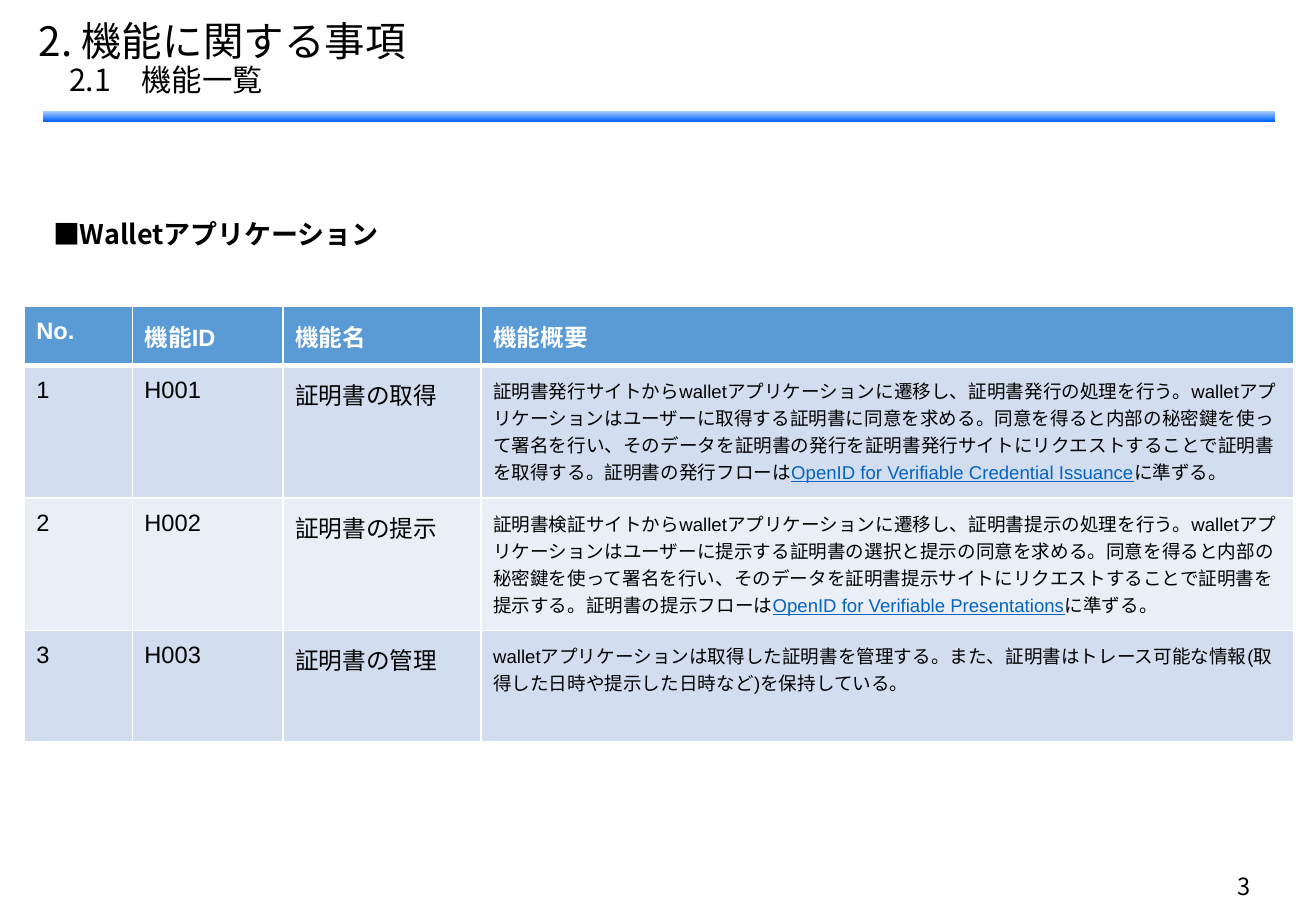
from lxml import etree
from pptx import Presentation
from pptx.dml.color import RGBColor
from pptx.enum.shapes import MSO_SHAPE
from pptx.enum.text import MSO_ANCHOR, PP_ALIGN
from pptx.oxml.ns import qn
from pptx.util import Cm, Pt

# Content
TITLE = "2. 機能に関する事項"
SUBTITLE = "\u30002.1\u3000機能一覧".replace("\u3000", "　")
SECTION = "■Walletアプリケーション"
PAGE_NUMBER = "3"
HEADER = ["No.", "機能ID", "機能名", "機能概要"]
# Each summary is a list of (text, is_link)
FUNCTIONS = [
    ("1", "H001", "証明書の取得", [
        ("証明書発行サイトからwalletアプリケーションに遷移し、証明書発行の処理を行う。"
         "walletアプリケーションはユーザーに取得する証明書に同意を求める。"
         "同意を得ると内部の秘密鍵を使って署名を行い、そのデータを証明書の発行を"
         "証明書発行サイトにリクエストすることで証明書を取得する。証明書の発行フローは", False),
        ("OpenID for Verifiable Credential Issuance", True),
        ("に準ずる。", False)]),
    ("2", "H002", "証明書の提示", [
        ("証明書検証サイトからwalletアプリケーションに遷移し、証明書提示の処理を行う。"
         "walletアプリケーションはユーザーに提示する証明書の選択と提示の同意を求める。"
         "同意を得ると内部の秘密鍵を使って署名を行い、そのデータを"
         "証明書提示サイトにリクエストすることで証明書を提示する。証明書の提示フローは", False),
        ("OpenID for Verifiable Presentations", True),
        ("に準ずる。", False)]),
    ("3", "H003", "証明書の管理", [
        ("walletアプリケーションは取得した証明書を管理する。また、証明書はトレース可能な情報"
         "(取得した日時や提示した日時など)を保持している。", False)]),
]

# Style
JAPANESE, LATIN = "Noto Sans CJK JP", "Arial"
BLACK = RGBColor(0x00, 0x00, 0x00)
WHITE = RGBColor(0xFF, 0xFF, 0xFF)
LINK_BLUE = RGBColor(0x05, 0x63, 0xC1)
HEADER_BLUE = RGBColor(0x5B, 0x9B, 0xD5)
BANDS = [RGBColor(0xD2, 0xDE, 0xEF), RGBColor(0xEA, 0xEF, 0xF7)]
BAR_COLORS = [RGBColor(0xA9, 0xCB, 0xFF), RGBColor(0x00, 0x66, 0xFF)]
RECTANGLE = MSO_SHAPE.RECTANGLE
TOP, MIDDLE, BOTTOM = MSO_ANCHOR.TOP, MSO_ANCHOR.MIDDLE, MSO_ANCHOR.BOTTOM
LEFT, RIGHT = PP_ALIGN.LEFT, PP_ALIGN.RIGHT

# Table measures in cm
COLUMN_WIDTHS = [2.26, 3.15, 4.14, 16.99]
ROW_HEIGHTS = [1.23, 2.77, 2.77, 2.33]
CELL_MARGIN = Cm(0.25)
THIN, THICK = Pt(1), Pt(3)


def set_font(paragraph, size, color, latin=JAPANESE, bold=False):
    font = paragraph.font
    font.size, font.name, font.bold = Pt(size), latin, bold
    font.color.rgb = color
    # Japanese characters use their own typeface slot
    latin_slot = font._element.find(qn("a:latin"))
    east_asian = etree.Element(qn("a:ea"), typeface=JAPANESE)
    latin_slot.addnext(east_asian)


def add_text(slide, box, lines, anchor=TOP, align=LEFT, spacing=0.9, bold=False):
    frame = slide.shapes.add_textbox(*map(Cm, box)).text_frame
    frame.word_wrap = True
    frame.vertical_anchor = anchor
    for index, (text, size) in enumerate(lines):
        paragraph = frame.add_paragraph() if index else frame.paragraphs[0]
        paragraph.text = text
        paragraph.alignment = align
        paragraph.line_spacing = spacing
        set_font(paragraph, size, BLACK, bold=bold)


def set_borders(cell, top, bottom):
    properties = cell._tc.get_or_add_tcPr()
    sides = [("lnL", THIN), ("lnR", THIN), ("lnT", top), ("lnB", bottom)]
    for index, (side, width) in enumerate(sides):
        line = etree.Element(qn(f"a:{side}"), w=str(width))
        fill = etree.SubElement(line, qn("a:solidFill"))
        etree.SubElement(fill, qn("a:srgbClr"), val=str(WHITE))
        properties.insert(index, line)


def fill_cell(cell, pieces, row, size):
    is_header = row == 0
    cell.margin_left = cell.margin_right = CELL_MARGIN
    cell.margin_top = cell.margin_bottom = CELL_MARGIN
    cell.fill.solid()
    cell.fill.fore_color.rgb = HEADER_BLUE if is_header else BANDS[(row - 1) % 2]
    set_borders(cell, THICK if row == 1 else THIN, THICK if is_header else THIN)
    paragraph = cell.text_frame.paragraphs[0]
    for text, is_link in pieces:
        run = paragraph.add_run()
        run.text = text
        if is_link:
            run.font.color.rgb = LINK_BLUE
            run.font.underline = True
    set_font(paragraph, size, WHITE if is_header else BLACK, LATIN, is_header)


def add_function_table(slide):
    rows = [[[(label, False)] for label in HEADER]]
    for *labels, summary in FUNCTIONS:
        rows.append([[(label, False)] for label in labels] + [summary])
    table = slide.shapes.add_table(
        len(rows), len(HEADER), Cm(0.51), Cm(6.41),
        Cm(sum(COLUMN_WIDTHS)), Cm(sum(ROW_HEIGHTS))).table
    for column, width in zip(table.columns, COLUMN_WIDTHS):
        column.width = Cm(width)
    for r, (cells, height) in enumerate(zip(rows, ROW_HEIGHTS)):
        table.rows[r].height = Cm(height)
        for c, pieces in enumerate(cells):
            is_summary = r > 0 and c == len(HEADER) - 1
            fill_cell(table.cell(r, c), pieces, r, 11 if is_summary else 14)


def main():
    deck = Presentation()
    deck.slide_width, deck.slide_height = Cm(27.51), Cm(19.05)
    slide = deck.slides.add_slide(deck.slide_layouts[6])

    # Gradient bar under the title
    bar = slide.shapes.add_shape(RECTANGLE, Cm(0.89), Cm(2.33), Cm(25.76), Cm(0.21))
    bar.shadow.inherit = False
    bar.line.fill.background()
    bar.fill.gradient()
    bar.fill.gradient_angle = 270
    for stop, color in zip(bar.fill.gradient_stops, BAR_COLORS):
        stop.color.rgb = color

    # Title, section heading, table and page number
    add_text(slide, (0.56, 0.36, 24.61, 1.78), [(TITLE, 24), (SUBTITLE, 18)], MIDDLE)
    add_text(slide, (0.86, 4.5, 8.71, 0.89), [(SECTION, 16)], bold=True)
    add_function_table(slide)
    add_text(slide, (19.96, 17.93, 6.43, 1.02), [(PAGE_NUMBER, 14)],
             BOTTOM, RIGHT, spacing=0.8)

    deck.save("out.pptx")


if __name__ == "__main__":
    main()
